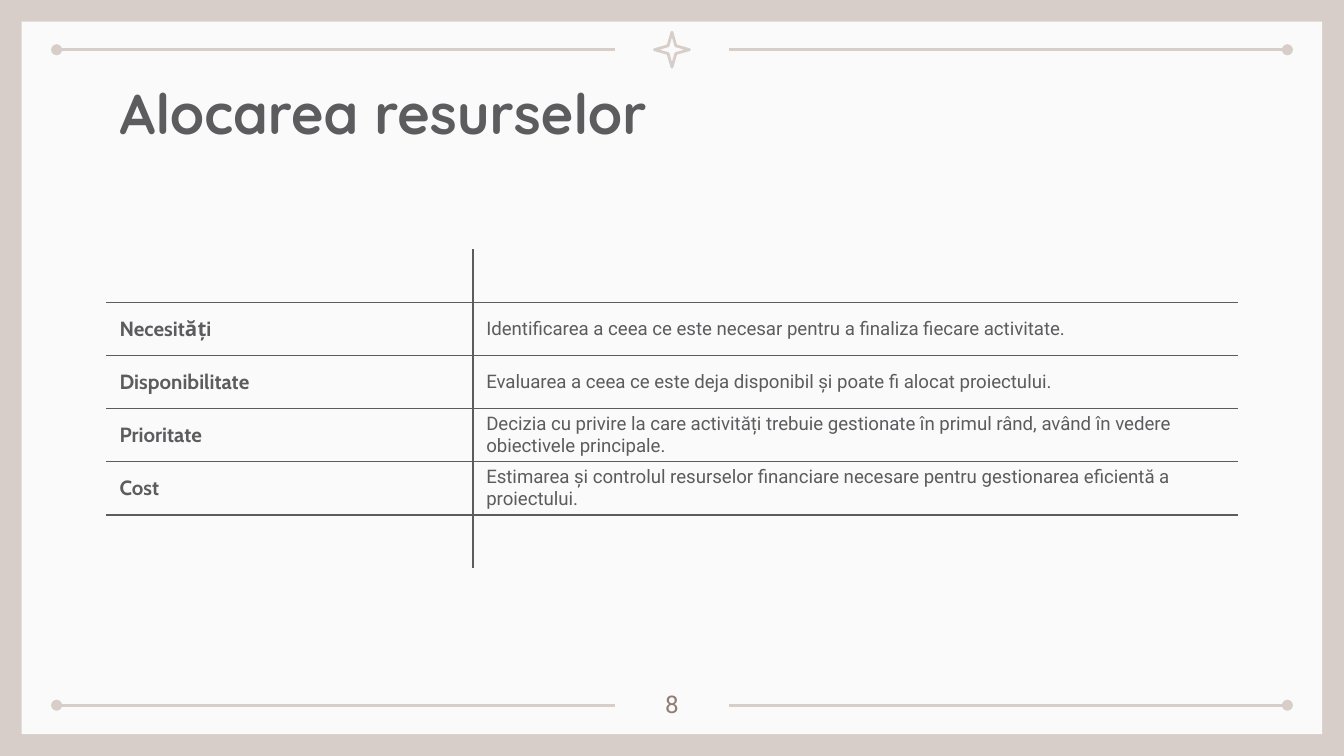
"""Build the resource allocation slide: a framed title above a two-column table."""
from dataclasses import dataclass

import pptx
import pptx.dml.color
import pptx.enum.shapes
import pptx.enum.text
import pptx.oxml
import pptx.oxml.ns
import pptx.util
from pptx.util import Cm


@dataclass(frozen=True)
class TextStyle:
    font: str
    size: float
    color: str
    bold: bool = False


@dataclass(frozen=True)
class Theme:
    frame: str = "D8CEC9"
    paper: str = "FAFAFA"
    ink: str = "5C5C5F"
    frame_line: float = 1.5
    table_line: float = 0.75
    title: TextStyle = TextStyle("Quicksand", 30, "5C5C5F", True)
    label: TextStyle = TextStyle("Cabin", 11, "5C5C5F", True)
    body: TextStyle = TextStyle("Roboto", 10, "5C5C5F")
    number: TextStyle = TextStyle("Roboto", 13, "927C71")


@dataclass(frozen=True)
class Rule:
    x1: float
    x2: float
    y: float
    dot: str


@dataclass(frozen=True)
class Resource:
    label: str = ""
    text: str = ""


THEME = Theme()
WIDTH, HEIGHT = 25.4, 14.29
BORDER = 0.41
INSET = 0.25
TOP_RULE, BOTTOM_RULE = 0.94, 13.33
RULE_START, RULE_END = 1.07, 11.63
STAR = 0.66
LEFT = 2.01
COLUMNS = (6.93, 14.46)
TABLE_TOP, TABLE_HEIGHT = 4.71, 6.03
RULES = [
    rule
    for y in (TOP_RULE, BOTTOM_RULE)
    for rule in (
        Rule(RULE_START, RULE_END, y, "headEnd"),
        Rule(WIDTH - RULE_END, WIDTH - RULE_START, y, "tailEnd"),
    )
]
RESOURCES = [
    Resource(),
    Resource("Necesități", "Identificarea a ceea ce este necesar pentru a finaliza fiecare activitate."),
    Resource("Disponibilitate", "Evaluarea a ceea ce este deja disponibil și poate fi alocat proiectului."),
    Resource("Prioritate", "Decizia cu privire la care activități trebuie gestionate în primul rând, "
             "având în vedere obiectivele principale."),
    Resource("Cost", "Estimarea și controlul resurselor financiare necesare pentru "
             "gestionarea eficientă a proiectului."),
    Resource(),
]


def rgb(color: str) -> pptx.dml.color.RGBColor:
    return pptx.dml.color.RGBColor.from_string(color)


def element(xml: str):
    return pptx.oxml.parse_xml(xml.replace(" ", f' {pptx.oxml.ns.nsdecls("a")} ', 1))


def write(tf, text: str, style: TextStyle, align=pptx.enum.text.PP_ALIGN.LEFT) -> None:
    p = tf.paragraphs[0]
    p.alignment = align
    r = p.add_run()
    r.text = text
    r.font.name = style.font
    r.font.size = pptx.util.Pt(style.size)
    r.font.bold = style.bold
    r.font.color.rgb = rgb(style.color)


def set_frame(tf) -> None:
    tf.word_wrap = True
    tf.auto_size = pptx.enum.text.MSO_AUTO_SIZE.NONE
    tf.vertical_anchor = pptx.enum.text.MSO_ANCHOR.TOP
    tf.margin_left = tf.margin_right = tf.margin_top = tf.margin_bottom = Cm(INSET)


def add_paper(s) -> None:
    sp = s.shapes.add_shape(
        pptx.enum.shapes.MSO_SHAPE.RECTANGLE,
        Cm(BORDER), Cm(BORDER), Cm(WIDTH - 2 * BORDER), Cm(HEIGHT - 2 * BORDER),
    )
    sp.shadow.inherit = False
    sp.fill.solid()
    sp.fill.fore_color.rgb = rgb(THEME.paper)
    sp.line.fill.background()


def add_star(s) -> None:
    sp = s.shapes.add_shape(
        pptx.enum.shapes.MSO_SHAPE.STAR_4_POINT,
        Cm((WIDTH - STAR) / 2), Cm(TOP_RULE - STAR / 2), Cm(STAR), Cm(STAR),
    )
    sp.adjustments[0] = 0.157
    sp.shadow.inherit = False
    sp.fill.background()
    sp.line.color.rgb = rgb(THEME.frame)
    sp.line.width = pptx.util.Pt(THEME.frame_line)


def add_rule(s, rule: Rule) -> None:
    line = s.shapes.add_connector(
        pptx.enum.shapes.MSO_CONNECTOR.STRAIGHT,
        Cm(rule.x1), Cm(rule.y), Cm(rule.x2), Cm(rule.y),
    )
    line.line.color.rgb = rgb(THEME.frame)
    line.line.width = pptx.util.Pt(THEME.frame_line)
    line.line._get_or_add_ln().append(element(f'<a:{rule.dot} type="oval"/>'))
    line._element.spPr.append(element("<a:effectLst />"))


def set_borders(cell, visible: dict[str, bool]) -> None:
    width = pptx.util.Pt(THEME.table_line)
    solid = f'<a:solidFill><a:srgbClr val="{THEME.ink}"/></a:solidFill>'
    for i, (side, shown) in enumerate(visible.items()):
        fill = solid if shown else "<a:noFill/>"
        cell._tc.get_or_add_tcPr().insert(i, element(f'<a:ln{side} w="{width}">{fill}</a:ln{side}>'))


def add_resources(s) -> None:
    rows = len(RESOURCES)
    table = s.shapes.add_table(
        rows, len(COLUMNS), Cm(LEFT), Cm(TABLE_TOP), Cm(sum(COLUMNS)), Cm(TABLE_HEIGHT)
    ).table
    table.first_row = table.horz_banding = False
    for column, width in zip(table.columns, COLUMNS):
        column.width = Cm(width)
    for i, resource in enumerate(RESOURCES):
        table.rows[i].height = Cm(TABLE_HEIGHT / rows)
        contents = ((resource.label, THEME.label), (resource.text, THEME.body))
        for j, (text, style) in enumerate(contents):
            cell = table.cell(i, j)
            cell.fill.background()
            cell.vertical_anchor = pptx.enum.text.MSO_ANCHOR.MIDDLE
            cell.margin_left = cell.margin_right = Cm(INSET)
            cell.margin_top = cell.margin_bottom = 0
            if text:
                write(cell.text_frame, text, style)
            set_borders(cell, {"L": j > 0, "R": j == 0, "T": i > 0, "B": i < rows - 1})


def add_title(s, text: str) -> None:
    sp = s.shapes.title
    sp.left, sp.top, sp.width, sp.height = Cm(LEFT), Cm(1.24), Cm(sum(COLUMNS)), Cm(1.6)
    set_frame(sp.text_frame)
    write(sp.text_frame, text, THEME.title)


def add_number(s, text: str) -> None:
    width = 1.52
    sp = s.shapes.add_textbox(Cm((WIDTH - width) / 2), Cm(12.78), Cm(width), Cm(0.91))
    set_frame(sp.text_frame)
    write(sp.text_frame, text, THEME.number, pptx.enum.text.PP_ALIGN.CENTER)


def main() -> None:
    prs = pptx.Presentation()
    prs.slide_width, prs.slide_height = Cm(WIDTH), Cm(HEIGHT)
    s = prs.slides.add_slide(prs.slide_layouts.get_by_name("Title Only"))
    s.background.fill.solid()
    s.background.fill.fore_color.rgb = rgb(THEME.frame)
    add_paper(s)
    for rule in RULES:
        add_rule(s, rule)
    add_star(s)
    s.shapes._spTree.append(s.shapes.title._element)
    add_title(s, "Alocarea resurselor")
    add_resources(s)
    add_number(s, "8")
    prs.save("out.pptx")


if __name__ == "__main__":
    main()
